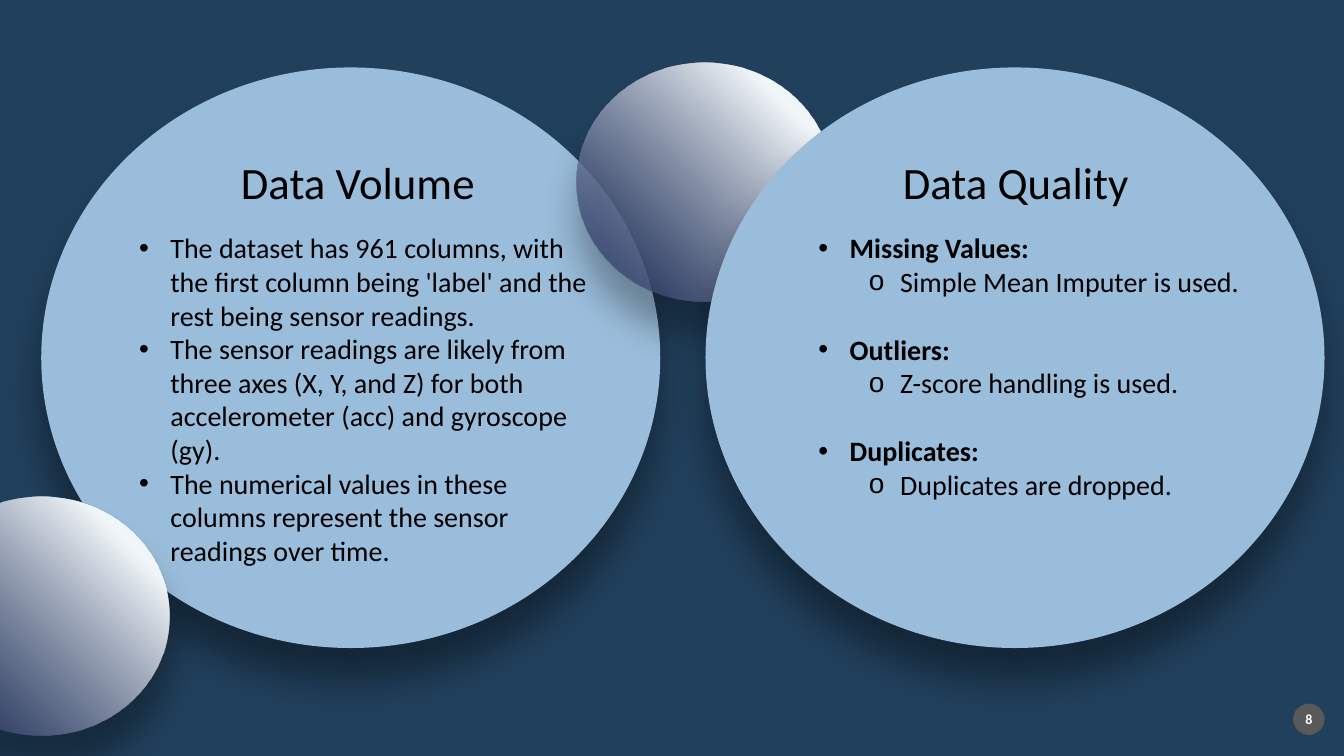
from dataclasses import dataclass

from pptx import Presentation
from pptx.dml.color import RGBColor
from pptx.enum.shapes import MSO_SHAPE
from pptx.enum.text import MSO_ANCHOR, MSO_AUTO_SIZE, PP_ALIGN
from pptx.oxml import parse_xml
from pptx.oxml.ns import nsdecls, qn
from pptx.util import Cm, Pt

OVAL = MSO_SHAPE.OVAL
CENTER, LEFT = PP_ALIGN.CENTER, PP_ALIGN.LEFT
TOP, MIDDLE = MSO_ANCHOR.TOP, MSO_ANCHOR.MIDDLE
GROW = MSO_AUTO_SIZE.SHAPE_TO_FIT_TEXT


@dataclass(frozen=True)
class Theme:
    font: str = "Calibri"
    background: str = "21405C"
    panel: str = "9ABDDB"
    ball_light: str = "F2F7FA"
    ball_dark: str = "0D1D51"
    badge: str = "595959"
    text: str = "000000"
    badge_text: str = "FFFFFF"
    heading_size: int = 32
    body_size: int = 20
    badge_size: int = 10


THEME = Theme()
COMPARISON_LAYOUT = 4
PANEL_WIDTH, PANEL_HEIGHT = Cm(15.6), Cm(14.63)
BALL_WIDTH, BALL_HEIGHT = Cm(6.45), Cm(6.02)
BULLETS = ("•", "o")
HANGING = Cm(0.79)
LEVEL_STEP = Cm(1.27)
GROUP_GAP = Pt(24.4)

# (level, text) for each list line
VOLUME_ITEMS = [
    (0, "The dataset has 961 columns, with the first column being 'label' "
        "and the rest being sensor readings."),
    (0, "The sensor readings are likely from three axes (X, Y, and Z) for "
        "both accelerometer (acc) and gyroscope (gy)."),
    (0, "The numerical values in these columns represent the sensor "
        "readings over time."),
]
QUALITY_ITEMS = [
    (0, "Missing Values:"), (1, "Simple Mean Imputer is used."),
    (0, "Outliers:"), (1, "Z-score handling is used."),
    (0, "Duplicates:"), (1, "Duplicates are dropped."),
]


def style_font(paragraph, size, color, bold=False):
    font = paragraph.font
    font.name, font.size, font.bold = THEME.font, Pt(size), bold
    font.color.rgb = RGBColor.from_string(color)


def add_oval(slide, left, top, width, height, color=None):
    shape = slide.shapes.add_shape(OVAL, left, top, width, height)
    if color:
        shape.fill.solid()
        shape.fill.fore_color.rgb = RGBColor.from_string(color)
    shape.line.fill.background()
    shape.shadow.inherit = False
    return shape


def add_soft_shadow(shape):
    effects = shape._element.spPr.find(qn("a:effectLst"))
    effects.append(parse_xml(
        f'<a:outerShdw {nsdecls("a")} blurRad="{Pt(26)}" dist="{Pt(24)}" '
        'dir="5400000" algn="t" rotWithShape="0">'
        '<a:srgbClr val="000000"><a:alpha val="39000"/></a:srgbClr>'
        '</a:outerShdw>'))


def add_ball(slide, left, top):
    ball = add_oval(slide, left, top, BALL_WIDTH, BALL_HEIGHT)
    ball._element.spPr.find(qn("a:prstGeom")).addnext(parse_xml(
        f'<a:gradFill {nsdecls("a")} rotWithShape="1"><a:gsLst>'
        f'<a:gs pos="18000"><a:srgbClr val="{THEME.ball_light}"/></a:gs>'
        f'<a:gs pos="100000"><a:srgbClr val="{THEME.ball_dark}">'
        '<a:alpha val="71000"/></a:srgbClr></a:gs></a:gsLst>'
        '<a:path path="circle"><a:fillToRect l="100000" b="100000"/></a:path>'
        '</a:gradFill>'))
    add_soft_shadow(ball)


def place_placeholder(placeholder, left, top, width, height):
    """Moves a placeholder to its box, in front of the shapes drawn so far."""
    placeholder.left, placeholder.top = left, top
    placeholder.width, placeholder.height = width, height
    element = placeholder._element
    element.getparent().append(element)
    frame = placeholder.text_frame
    frame.word_wrap, frame.auto_size = True, GROW
    frame.vertical_anchor = TOP
    return frame


def fill_list(frame, items, bold_leads):
    for index, (level, text) in enumerate(items):
        paragraph = frame.paragraphs[0] if index == 0 else frame.add_paragraph()
        paragraph.text, paragraph.level = text, level
        paragraph.alignment = LEFT
        properties = paragraph._element.get_or_add_pPr()
        properties.set("marL", str(HANGING + level * LEVEL_STEP))
        properties.set("indent", str(-HANGING))
        properties.append(parse_xml(
            f'<a:buChar {nsdecls("a")} char="{BULLETS[level]}"/>'))
        new_group = bold_leads and level == 0 and index > 0
        paragraph.space_before = GROUP_GAP if new_group else Pt(0)
        style_font(paragraph, THEME.body_size, THEME.text,
                   bold_leads and level == 0)


def add_panel(slide, left, top, heading, items, first_index,
              heading_inset, list_inset, list_height, bold_leads=False):
    circle = add_oval(slide, left, top, PANEL_WIDTH, PANEL_HEIGHT, THEME.panel)
    add_soft_shadow(circle)
    holders = {holder.placeholder_format.idx: holder
               for holder in slide.placeholders}

    # Heading
    frame = place_placeholder(holders[first_index], left + heading_inset,
                              top + Cm(2.06), Cm(7.62), Cm(1.62))
    paragraph = frame.paragraphs[0]
    paragraph.text, paragraph.alignment = heading, CENTER
    paragraph.space_before = Pt(0)
    style_font(paragraph, THEME.heading_size, THEME.text)

    # List
    frame = place_placeholder(holders[first_index + 1], left + list_inset,
                              top + Cm(3.99), Cm(11.89), list_height)
    fill_list(frame, items, bold_leads)


def add_page_badge(slide, left, top, number):
    badge = add_oval(slide, left, top, Cm(0.79), Cm(0.79), THEME.badge)
    frame = badge.text_frame
    frame.margin_left = frame.margin_right = 0
    frame.margin_top = frame.margin_bottom = 0
    frame.vertical_anchor = MIDDLE
    paragraph = frame.paragraphs[0]
    paragraph.text, paragraph.alignment = number, CENTER
    style_font(paragraph, THEME.badge_size, THEME.badge_text, bold=True)


def build_data_slide(presentation):
    layout = presentation.slide_layouts[COMPARISON_LAYOUT]
    slide = presentation.slides.add_slide(layout)
    slide.background.fill.solid()
    slide.background.fill.fore_color.rgb = RGBColor.from_string(THEME.background)
    title = slide.shapes.title._element
    title.getparent().remove(title)

    add_page_badge(slide, Cm(32.59), Cm(17.73), "8")
    add_panel(slide, Cm(1.04), Cm(1.7), "Data Volume", VOLUME_ITEMS, 1,
              Cm(4.17), Cm(2.21), Cm(9.58))
    add_ball(slide, Cm(14.53), Cm(1.57))
    add_ball(slide, Cm(-2.18), Cm(12.52))
    add_panel(slide, Cm(17.78), Cm(1.7), "Data Quality", QUALITY_ITEMS, 3,
              Cm(4.01), Cm(2.59), Cm(7.87), bold_leads=True)


def main():
    presentation = Presentation()
    presentation.slide_width, presentation.slide_height = Cm(33.87), Cm(19.05)
    build_data_slide(presentation)
    presentation.save("out.pptx")


if __name__ == "__main__":
    main()
